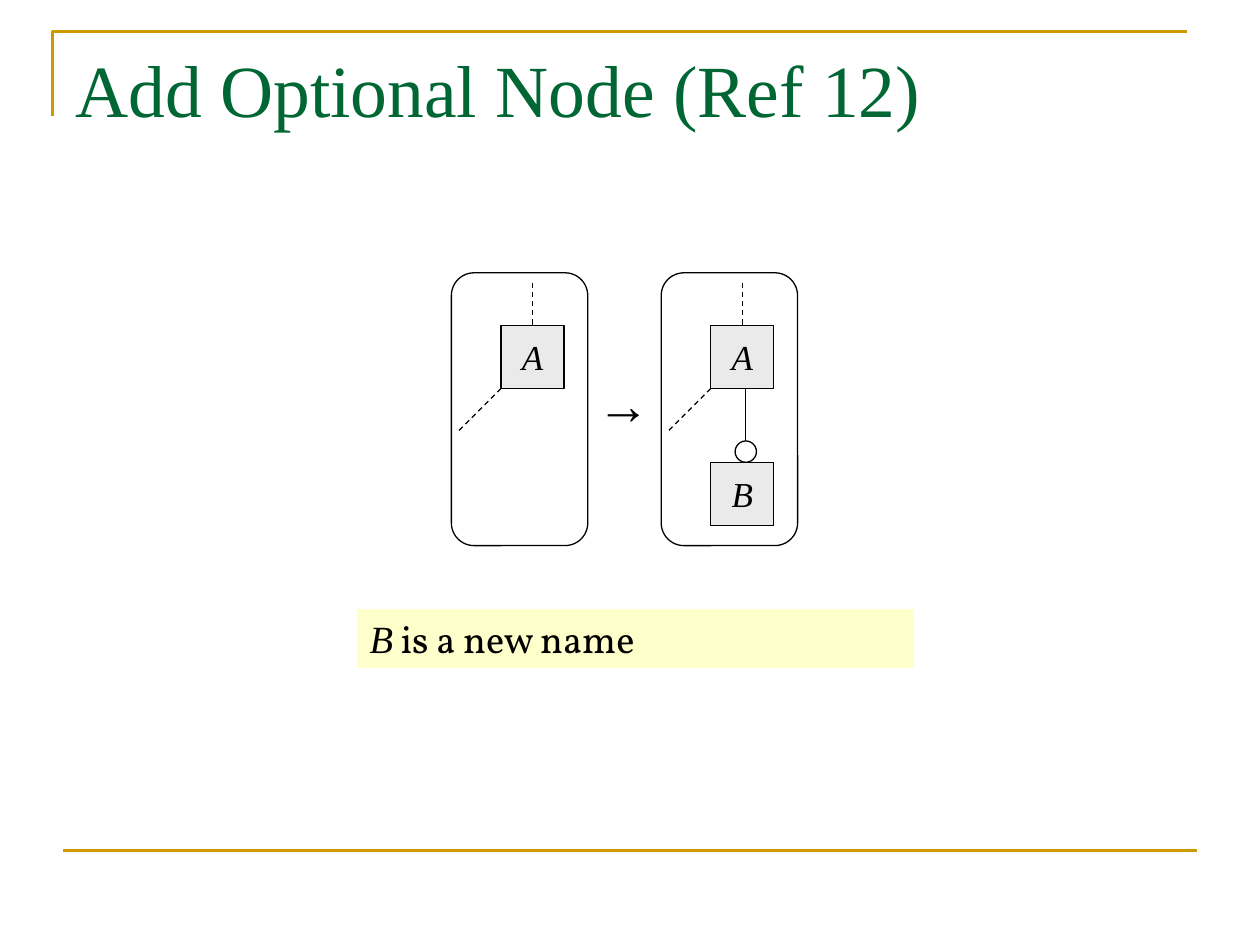
from dataclasses import dataclass

from lxml import etree
from pptx import Presentation
from pptx.dml.color import RGBColor
from pptx.enum.dml import MSO_LINE
from pptx.enum.shapes import MSO_CONNECTOR, MSO_SHAPE
from pptx.enum.text import MSO_ANCHOR, PP_ALIGN
from pptx.oxml.ns import qn
from pptx.util import Cm, Pt

RECT, OVAL, ROUND = MSO_SHAPE.RECTANGLE, MSO_SHAPE.OVAL, MSO_SHAPE.ROUNDED_RECTANGLE
STRAIGHT = MSO_CONNECTOR.STRAIGHT
DASH = MSO_LINE.DASH
LEFT, MID = PP_ALIGN.LEFT, PP_ALIGN.CENTER
TOP, CENTRE = MSO_ANCHOR.TOP, MSO_ANCHOR.MIDDLE
SERIF = "Times New Roman"
BLACK, GOLD, GREEN = "000000", "CC9900", "006633"
GREY, CREAM, WHITE = "EAEAEA", "FFFFCC", "FFFFFF"
SIDE, DOT = 1.27, 0.43  # node side and circle width, in cm
HIGH, NODE_X, NODE_Y = 5.5, 1.0, 1.06


@dataclass
class Panel:
    """A tree pattern in a rounded frame; child names the optional node."""
    left: float
    child: str = ""


def paint(part, color: str) -> None:
    part.rgb = RGBColor.from_string(color)


def fill(shape, color: str) -> None:
    if color:
        shape.fill.solid()
        paint(shape.fill.fore_color, color)
    else:
        shape.fill.background()


def edge(shape, color: str, width: float) -> None:
    if color:
        paint(shape.line.color, color)
        shape.line.width = Pt(width)
    else:
        shape.line.fill.background()


def say(shape, text: str, font: str = SERIF, size: float = 20, color: str = BLACK,
        italic: bool = False, align=LEFT, anchor=TOP, wrap: bool = True) -> None:
    """Add a run to the first paragraph of a shape."""
    frame = shape.text_frame
    frame.word_wrap, frame.vertical_anchor = wrap, anchor
    para = frame.paragraphs[0]
    para.alignment = align
    run = para.add_run()
    run.text = text
    run.font.name, run.font.size = font, Pt(size)
    run.font.italic = italic
    paint(run.font.color, color)


def draw(slide, kind, x: float, y: float, w: float, h: float,
         color: str = "", line: str = BLACK):
    shape = slide.shapes.add_shape(kind, Cm(x), Cm(y), Cm(w), Cm(h))
    shape.shadow.inherit = False
    fill(shape, color)
    edge(shape, line, 0.75)
    return shape


def link(slide, x1: float, y1: float, x2: float, y2: float,
         color: str = BLACK, width: float = 0.75, dash=None) -> None:
    line = slide.shapes.add_connector(STRAIGHT, Cm(x1), Cm(y1), Cm(x2), Cm(y2))
    edge(line, color, width)
    line.line.dash_style = dash
    props = line._element.find(qn("p:spPr"))
    etree.SubElement(props, qn("a:effectLst"))


def node(slide, name: str, x: float, y: float) -> None:
    box = draw(slide, RECT, x, y, SIDE, SIDE, GREY)
    say(box, name, italic=True, align=MID, anchor=CENTRE, wrap=False)


def show(slide, panel: Panel, top: float) -> None:
    x, y = panel.left + NODE_X, top + NODE_Y
    low, mid = y + SIDE, x + SIDE / 2
    draw(slide, ROUND, panel.left, top, HIGH / 2, HIGH)
    # Dashed links to the rest of the tree
    link(slide, mid, y - 0.85, mid, y, dash=DASH)
    link(slide, x, low, x - 0.85, low + 0.85, dash=DASH)
    node(slide, "A", x, y)
    # Optional child with its circle
    if panel.child:
        stem, base = mid + 0.07, low + 1.49
        link(slide, stem, low, stem, base)
        draw(slide, OVAL, stem - DOT / 2, base - DOT, DOT, DOT, WHITE)
        node(slide, panel.child, x, base)


def main() -> None:
    deck = Presentation()
    deck.slide_width, deck.slide_height = Cm(25.4), Cm(19.05)
    slide = deck.slides.add_slide(deck.slide_layouts[5])

    # Gold rules
    path = slide.shapes.build_freeform(Cm(1.06), Cm(2.33))
    path.add_line_segments([(Cm(1.06), Cm(0.64)), (Cm(23.92), Cm(0.64))], close=False)
    rule = path.convert_to_shape()
    rule.shadow.inherit = False
    fill(rule, "")
    edge(rule, GOLD, 1.5)
    link(slide, 1.27, 17.15, 24.13, 17.15, GOLD, 1.5)

    # Title
    title = slide.shapes.title
    title.left, title.top = Cm(1.27), Cm(0.76)
    title.width, title.height = Cm(22.86), Cm(3.18)
    say(title, "Add Optional Node (Ref 12)", size=42, color=GREEN)

    # Before and after
    for panel in (Panel(9.1), Panel(13.33, "B")):
        show(slide, panel, 5.5)
    arrow = slide.shapes.add_textbox(Cm(12), Cm(7.37), Cm(1.14), Cm(1.52))
    say(arrow, "→", font="Courier New", size=30, wrap=False)

    # Side condition
    note = draw(slide, RECT, 7.2, 12.28, 11.22, 1.19, CREAM, line="")
    say(note, "B", size=22, italic=True)
    say(note, " is a new name", font="Vollkorn", size=22)

    deck.save("out.pptx")


if __name__ == "__main__":
    main()
